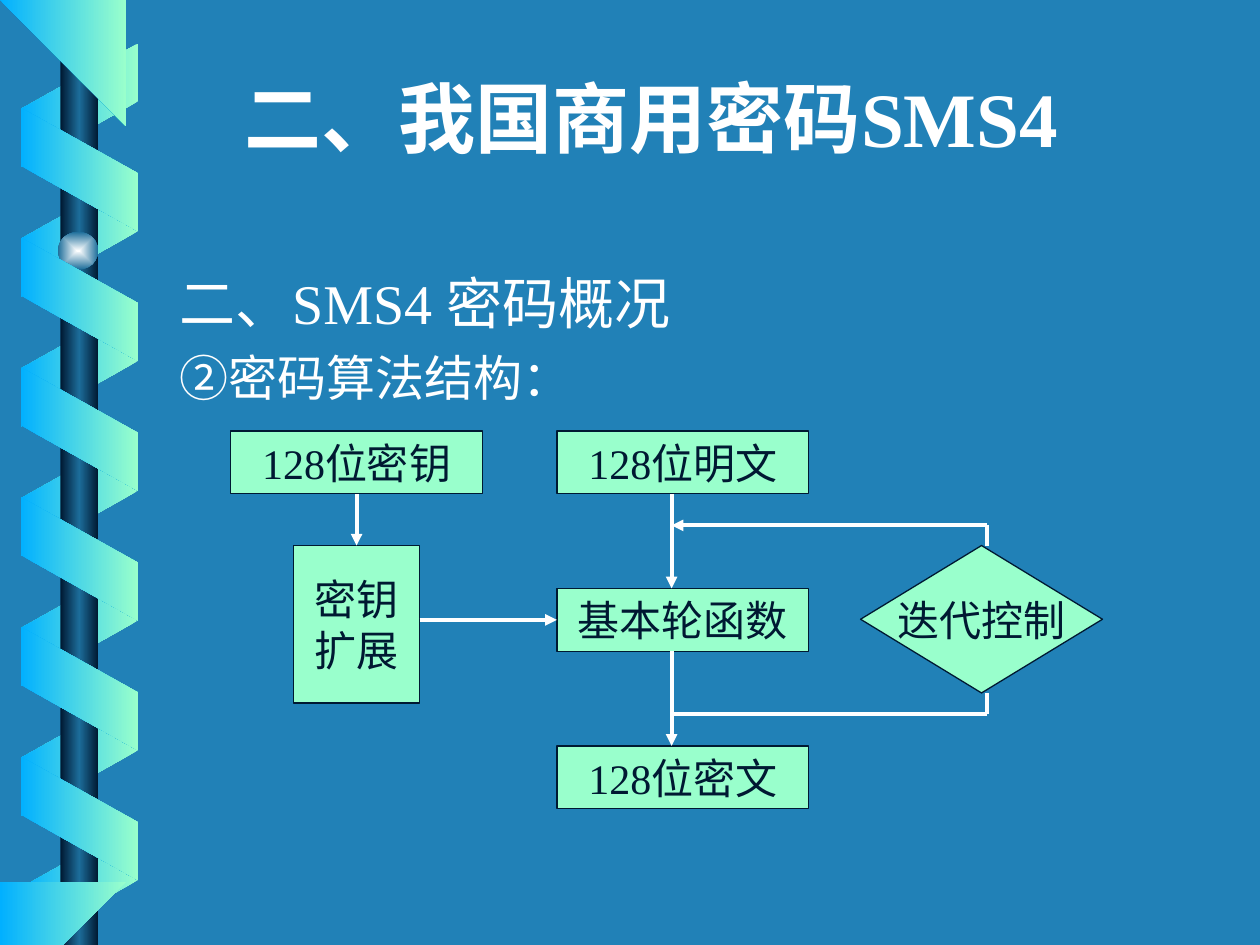
from pptx import Presentation
from pptx.dml.color import RGBColor
from pptx.enum.lang import MSO_LANGUAGE_ID
from pptx.enum.shapes import MSO_CONNECTOR, MSO_SHAPE
from pptx.enum.text import MSO_ANCHOR, PP_ALIGN
from pptx.oxml import parse_xml
from pptx.oxml.ns import nsdecls
from pptx.util import Inches, Pt

RECTANGLE, DECISION = MSO_SHAPE.RECTANGLE, MSO_SHAPE.FLOWCHART_DECISION
PARALLELOGRAM, OVAL = MSO_SHAPE.PARALLELOGRAM, MSO_SHAPE.OVAL
STRAIGHT = MSO_CONNECTOR.STRAIGHT
LEFT, CENTER = PP_ALIGN.LEFT, PP_ALIGN.CENTER
TOP, MIDDLE, BOTTOM = MSO_ANCHOR.TOP, MSO_ANCHOR.MIDDLE, MSO_ANCHOR.BOTTOM
CHINESE = MSO_LANGUAGE_ID.SIMPLIFIED_CHINESE
WHITE, NAVY, MINT, SKY, STEEL = "FFFFFF", "001932", "99FFCC", "01B0FF", "1C6D9A"
NARROW, TIMES = "Arial Narrow", "Times New Roman"


def paint(fill, color):
    fill.solid()
    fill.fore_color.rgb = RGBColor.from_string(color)


def write(box, lines, sizes, color=WHITE, bold=False, align=LEFT, anchor=TOP, wrap=True, gap=0):
    """Each line is a list of (text, font name) pairs."""
    frame = box.text_frame
    frame.word_wrap = wrap
    frame.vertical_anchor = anchor
    for index, (line, size) in enumerate(zip(lines, sizes)):
        para = frame.add_paragraph() if index else frame.paragraphs[0]
        para.alignment = align
        if index:
            para.space_before = Pt(gap)
        for text, font in line:
            span = para.add_run()
            span.text = text
            span.font.name = font
            span.font.size = Pt(size)
            span.font.bold = bold
            span.font.language_id = CHINESE
            paint(span.font.fill, color)


deck = Presentation()
deck.slide_width, deck.slide_height = Inches(10), Inches(7.5)
page = deck.slides.add_slide(deck.slide_layouts[6])
paint(page.background.fill, "2181B7")
shapes = page.shapes

# Spiral ribbon around a pole: back bands, pole, crossbar, knob, front bands
linear = '<a:lin ang="{}" scaled="0"/>'
across, down = linear.format(0), linear.format(90 * 60000)
centred = '<a:path path="rect"><a:fillToRect l="50000" t="50000" r="50000" b="50000"/></a:path>'
tube = [NAVY, STEEL, NAVY]
pitch = 1.03
back_bands = [(0.37 + pitch * turn, 90) for turn in range(7)]
front_bands = [(0.88 + pitch * turn, 270) for turn in range(6)]
outlines = {
    "crossbar": [(10, 1.86), (0.76, 1.86), (0.6, 2), (0.76, 2.14), (10, 2.14)],
    "top band": [(0.17, 0), (0.17, 0.29), (1.09, 0.81), (1.09, 0.35), (0.47, 0)],
    "bottom band": [(0.96, 7.49), (0.17, 7.05), (0.16, 7.5)],
}
gradients = []
for top, turn in back_bands + front_bands:
    if (top, turn) == front_bands[0]:
        pole = shapes.add_shape(RECTANGLE, Inches(0.48), 0, Inches(0.3), Inches(7.5))
        builder = shapes.build_freeform(*outlines["crossbar"][0], scale=Inches(1))
        builder.add_line_segments(outlines["crossbar"][1:])
        crossbar = builder.convert_to_shape()
        knob = shapes.add_shape(OVAL, Inches(0.46), Inches(1.84), Inches(0.32), Inches(0.3))
        gradients += [(pole, tube, across), (crossbar, tube, down),
                      (knob, ["FEFFFF", STEEL], centred)]
    band = shapes.add_shape(PARALLELOGRAM, Inches(0.14), Inches(top), Inches(0.98), Inches(0.93))
    band.adjustments[0] = 0.56
    band.rotation = turn
    if turn == 90:
        band.element.spPr.xfrm.set("flipH", "1")
    gradients.append((band, [MINT, SKY] if turn == 90 else [SKY, MINT], across))

for name in ("top band", "bottom band"):
    builder = shapes.build_freeform(*outlines[name][0], scale=Inches(1))
    builder.add_line_segments(outlines[name][1:])
    gradients.append((builder.convert_to_shape(), [SKY, MINT], across))

for shape, colors, direction in gradients:
    step = 100000 // (len(colors) - 1)
    stops = "".join(f'<a:gs pos="{step * i}"><a:srgbClr val="{color}"/></a:gs>'
                    for i, color in enumerate(colors))
    shape.element.spPr.insert(2, parse_xml(
        f'<a:gradFill {nsdecls("a")} rotWithShape="0"><a:gsLst>{stops}</a:gsLst>{direction}</a:gradFill>'))
    shape.line.fill.background()
    shape.shadow.inherit = False

# Heading and body text
body = shapes.add_textbox(Inches(1.33), Inches(2.08), Inches(8.42), Inches(5.17))
write(body, [[("二、", NARROW), ("SMS4 ", TIMES), ("密码概况", NARROW)],
             [("②密码算法结构：", NARROW)]], [32, 28], gap=7)
title = shapes.add_textbox(Inches(0.92), Inches(0.42), Inches(8.5), Inches(0.92))
write(title, [[("二、我国商用密码", NARROW), ("SMS4", TIMES)]], [44],
      bold=True, align=CENTER, anchor=BOTTOM)

# Flow chart boxes
boxes = {}
for name, kind, left, top, width, height, lines in [
    ("round", RECTANGLE, 4.42, 4.67, 2, 0.5, ["基本轮函数"]),
    ("plaintext", RECTANGLE, 4.42, 3.42, 2, 0.5, ["128位明文"]),
    ("ciphertext", RECTANGLE, 4.42, 5.92, 2, 0.5, ["128位密文"]),
    ("expansion", RECTANGLE, 2.33, 4.33, 1, 1.25, ["密钥", "扩展"]),
    ("key", RECTANGLE, 1.83, 3.42, 2, 0.5, ["128位密钥"]),
    ("iteration", DECISION, 6.83, 4.33, 1.92, 1.17, ["迭代控制"]),
]:
    box = shapes.add_shape(kind, Inches(left), Inches(top), Inches(width), Inches(height))
    box.shadow.inherit = False
    paint(box.fill, MINT)
    paint(box.line.fill, NAVY)
    box.line.width = Pt(0.75)
    write(box, [[(line, TIMES)] for line in lines], [24] * len(lines), color=NAVY,
          align=CENTER, anchor=MIDDLE, wrap=False)
    boxes[name] = box

# Arrows and the iteration loop: start, end, arrowhead, joined start, joined end
for start, end, arrowhead, source, target in [
    ((2.83, 3.92), (2.83, 4.33), "tailEnd", ("key", 2), ("expansion", 0)),
    ((3.33, 4.92), (4.42, 4.92), "tailEnd", None, ("round", 1)),
    ((5.33, 3.92), (5.33, 4.67), "tailEnd", None, None),
    ((5.33, 5.17), (5.33, 5.92), "tailEnd", None, None),
    ((5.33, 5.67), (7.83, 5.67), None, None, None),
    ((7.83, 5.67), (7.83, 5.5), None, None, None),
    ((5.33, 4.17), (7.83, 4.17), "headEnd", None, None),
    ((7.83, 4.17), (7.83, 4.33), None, None, None),
]:
    line = shapes.add_connector(STRAIGHT, *map(Inches, start + end))
    if source:
        line.begin_connect(boxes[source[0]], source[1])
    if target:
        line.end_connect(boxes[target[0]], target[1])
    paint(line.line.fill, WHITE)
    line.line.width = Pt(2.25)
    if arrowhead:
        line.line.fill  # the outline exists before the arrowhead is appended
        outline = line.element.spPr.find("{http://schemas.openxmlformats.org/drawingml/2006/main}ln")
        outline.append(parse_xml(f'<a:{arrowhead} {nsdecls("a")} type="triangle"/>'))
    line.element.spPr.append(parse_xml(f'<a:effectLst {nsdecls("a")}/>'))

deck.save("out.pptx")
